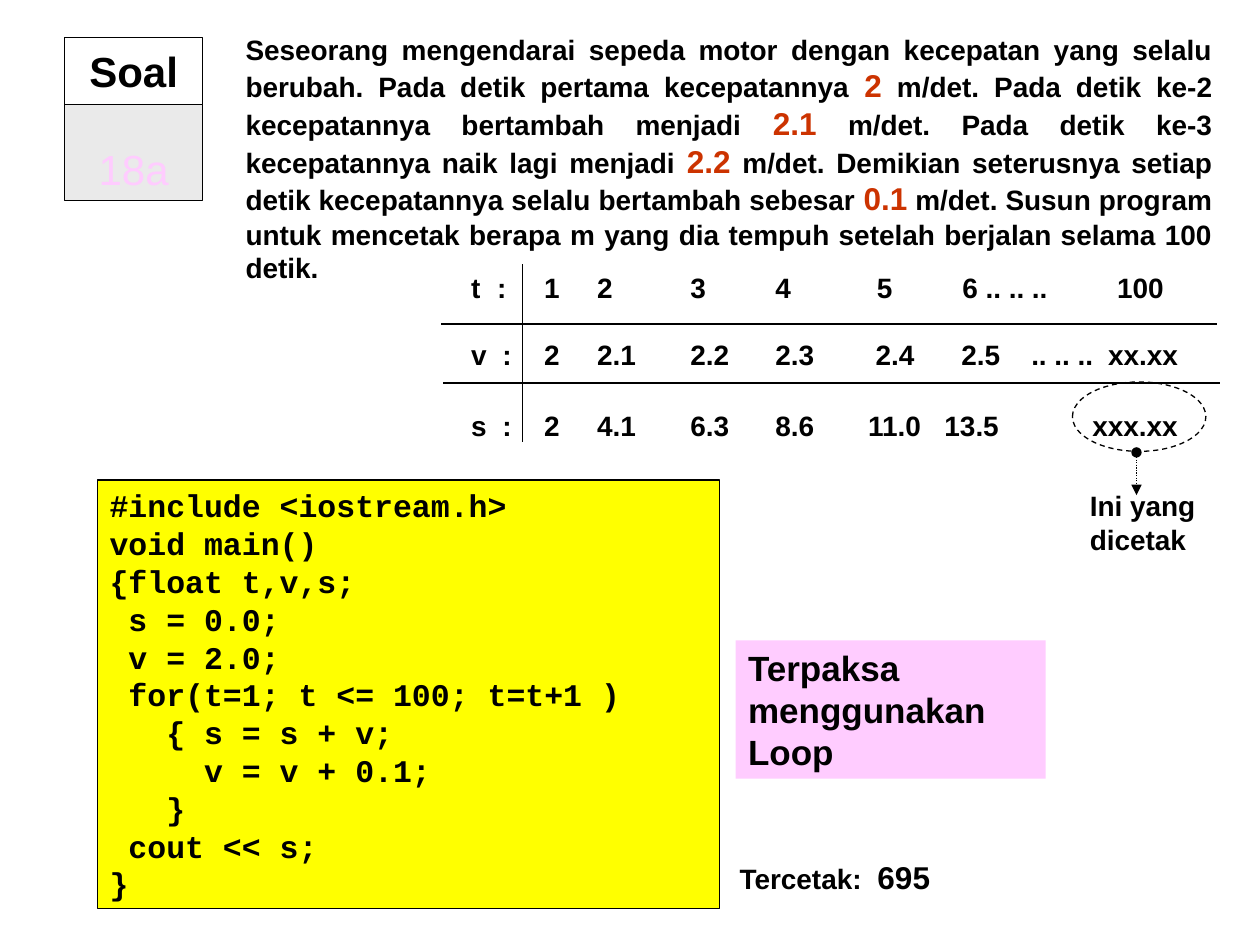
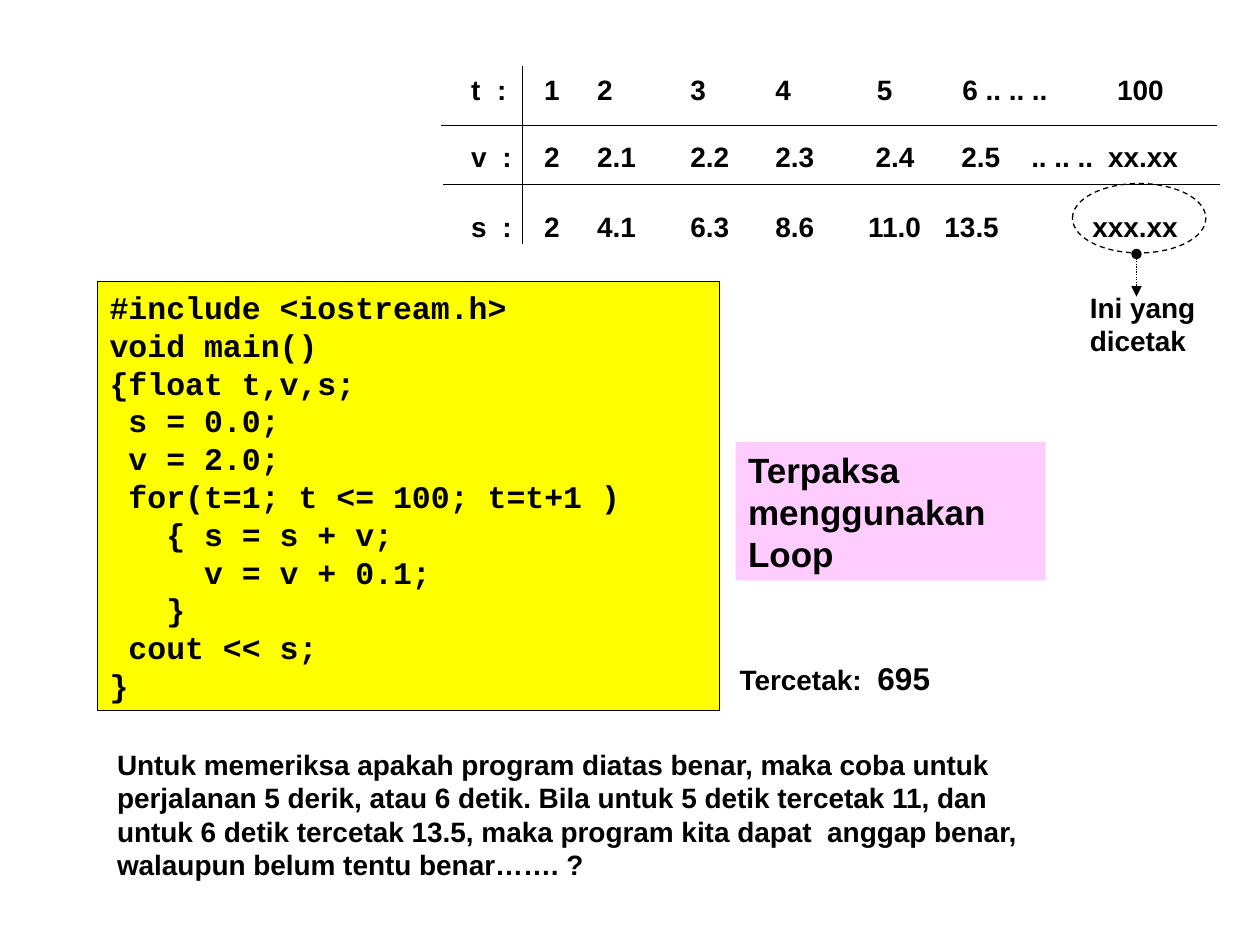
from typing import NamedTuple

from lxml import etree
from pptx import Presentation
from pptx.dml.color import RGBColor
from pptx.enum.dml import MSO_LINE
from pptx.enum.shapes import MSO_CONNECTOR, MSO_SHAPE
from pptx.enum.text import MSO_ANCHOR, PP_ALIGN
from pptx.oxml.ns import qn
from pptx.util import Cm, Pt

RECT, OVAL = MSO_SHAPE.RECTANGLE, MSO_SHAPE.OVAL
STRAIGHT = MSO_CONNECTOR.STRAIGHT
DASH, DOTS = MSO_LINE.DASH, MSO_LINE.ROUND_DOT
LEFT, CENTER, FULL = PP_ALIGN.LEFT, PP_ALIGN.CENTER, PP_ALIGN.JUSTIFY
TOP, MIDDLE, BOTTOM = MSO_ANCHOR.TOP, MSO_ANCHOR.MIDDLE, MSO_ANCHOR.BOTTOM

BLACK, RED, PINK = "000000", "CC3300", "FFCCFF"
YELLOW, GREY = "FFFF00", "EAEAEA"
SANS, MONO = "Arial", "Courier New"
THIN = Pt(0.75)


class Box(NamedTuple):
    """Place in centimetres."""
    left: float
    top: float
    width: float
    height: float


class Row(NamedTuple):
    """One line of the motion grid, its spacing and its own last tab stops."""
    text: str
    space: float
    stops: tuple[float, ...]


class Rule(NamedTuple):
    """Straight line between two points, in centimetres."""
    x1: float
    y1: float
    x2: float
    y2: float


# Grid: stops shared by all rows, then those of each row
COLS = (1.47, 2.54, 4.42, 6.13)
ROWS = (
    Row("t\t:\t1\t2\t3\t4\t5\t6 .. .. ..\t100", 1.3, (0.52, 8.18, 9.9, 13.02)),
    Row("v\t:\t2\t2.1\t2.2\t2.3\t2.4\t2.5\t.. .. ..\txx.xx", 2,
        (0.63, 8.15, 9.88, 11.29, 12.84)),
    Row("s\t:\t2\t4.1\t6.3\t8.6\t11.0\t13.5\txxx.xx", 2.1,
        (0.63, 8, 9.54, 12.52)),
)
RULES = (Rule(8.89, 1.4, 24.54, 1.4), Rule(10.54, 0.2, 10.54, 3.79),
         Rule(8.94, 2.59, 24.59, 2.59))

CODE = """#include <iostream.h>
void main()
{float t,v,s;
 s = 0.0;
 v = 2.0;
 for(t=1; t <= 100; t=t+1 )
   { s = s + v;
     v = v + 0.1;
   }
 cout << s;
}"""

# Bars enclose the larger, accented parts
TASK = (
    "Seseorang mengendarai sepeda motor dengan kecepatan yang selalu berubah. "
    "Pada detik pertama kecepatannya |2| m/det. Pada detik ke-2 kecepatannya "
    "bertambah menjadi |2.1| m/det. Pada detik ke-3 kecepatannya naik lagi "
    "menjadi |2.2| m/det. Demikian seterusnya setiap detik kecepatannya selalu "
    "bertambah sebesar |0.1| m/det. Susun program untuk mencetak berapa m yang "
    "dia tempuh setelah berjalan selama 100 detik."
)
CHECK = (
    "Untuk memeriksa apakah program diatas benar, maka coba untuk perjalanan "
    "5 derik, atau 6 detik. Bila untuk 5 detik tercetak 11, dan untuk 6 detik "
    "tercetak 13.5, maka program kita dapat  anggap benar, walaupun belum "
    "tentu benar……. ?"
)


def paint(form, tone: str) -> None:
    """Give a fill, line or font colour format a solid colour."""
    form.rgb = RGBColor.from_string(tone)


def place(box: Box) -> list:
    return [Cm(value) for value in box]


def set_tabs(para, stops) -> None:
    tabs = etree.SubElement(para._p.get_or_add_pPr(), qn("a:tabLst"))
    for stop in sorted(stops):
        etree.SubElement(tabs, qn("a:tab"), pos=str(Cm(stop)), algn="l")


def write(shape, text: str, *, size=16, font=SANS, tone=BLACK, bold=True,
          align=LEFT, anchor=TOP, wrap=True, accent=BLACK, stops=(),
          spaces=()) -> None:
    """Fill a shape with text; stops and spaces hold one item a paragraph."""
    frame = shape.text_frame
    frame.word_wrap, frame.vertical_anchor = wrap, anchor
    for i, line in enumerate(text.split("\n")):
        para = frame.paragraphs[0] if i == 0 else frame.add_paragraph()
        if stops:
            set_tabs(para, stops[i])
        if spaces:
            para.line_spacing = spaces[i]
        para.alignment = align
        for j, part in enumerate(line.split("|")):
            run = para.add_run()
            run.text = part
            run.font.name, run.font.bold = font, bold
            run.font.size = Pt(size + 2 * (j % 2))
            paint(run.font.color, accent if j % 2 else tone)


def add_text(slide, box: Box, text: str, **style) -> None:
    write(slide.shapes.add_textbox(*place(box)), text, **style)


def add_form(slide, box: Box, kind=RECT, fill="", edge=BLACK, dash=None):
    shape = slide.shapes.add_shape(kind, *place(box))
    shape.shadow.inherit = False
    if fill:
        shape.fill.solid()
        paint(shape.fill.fore_color, fill)
    else:
        shape.fill.background()
    if edge:
        paint(shape.line.color, edge)
        shape.line.width = THIN
        if dash:
            shape.line.dash_style = dash
    else:
        shape.line.fill.background()
    return shape


def add_rule(slide, rule: Rule, dash=None, ends=()) -> None:
    link = slide.shapes.add_connector(STRAIGHT, *[Cm(v) for v in rule])
    paint(link.line.color, BLACK)
    link.line.width = THIN
    if dash:
        link.line.dash_style = dash
    for tag, kind in zip(("a:headEnd", "a:tailEnd"), ends):
        etree.SubElement(link.line._get_or_add_ln(), qn(tag), type=kind)
    etree.SubElement(link._element.spPr, qn("a:effectLst"))


def add_board(slide, top: float) -> None:
    """Grid, program and result, hung from the given height."""
    # Motion grid
    add_text(slide, Box(9.25, top, 15.4, 3.91),
             "\n".join(row.text for row in ROWS),
             stops=[COLS + row.stops for row in ROWS],
             spaces=[row.space for row in ROWS])
    for rule in RULES:
        add_rule(slide, Rule(rule.x1, top + rule.y1, rule.x2, top + rule.y2))

    # Ringed answer and its label
    add_form(slide, Box(21.62, top + 2.57, 2.69, 1.4), OVAL, dash=DASH)
    add_rule(slide, Rule(22.91, top + 3.99, 22.91, top + 4.85), DOTS,
             ("oval", "triangle"))
    add_text(slide, Box(21.72, top + 4.6, 2.64, 1.63), "Ini yang\ndicetak",
             wrap=False)

    # Program, remark and output
    code = add_form(slide, Box(1.96, top + 4.55, 12.55, 8.64), fill=YELLOW)
    write(code, CODE, size=18, font=MONO)
    note = add_form(slide, Box(14.83, top + 7.78, 6.25, 2.79), fill=PINK,
                    edge="")
    write(note, "Terpaksa menggunakan Loop", size=20)
    add_text(slide, Box(14.66, top + 12.04, 4.6, 1.02), "Tercetak:\t|695",
             stops=[(2.78,)])


def main() -> None:
    deck = Presentation()
    deck.slide_width, deck.slide_height = Cm(25.4), Cm(19.05)
    blank = deck.slide_layouts[6]

    # Slide 1: the problem
    slide = deck.slides.add_slide(blank)
    add_text(slide, Box(4.7, 0.53, 19.99, 5.33), TASK, align=FULL, accent=RED)
    head = add_form(slide, Box(1.3, 0.76, 2.79, 1.35))
    write(head, "Soal", size=24, align=CENTER, anchor=MIDDLE, wrap=False)
    badge = add_form(slide, Box(1.3, 2.11, 2.79, 1.93), fill=GREY)
    write(badge, "18a", size=24, tone=PINK, bold=False, align=CENTER,
          anchor=BOTTOM)
    add_board(slide, 5.13)

    # Slide 2: checking the program
    slide = deck.slides.add_slide(blank)
    add_board(slide, 1.13)
    add_text(slide, Box(2.11, 14.94, 18.67, 2.97), CHECK)

    deck.save("out.pptx")


if __name__ == "__main__":
    main()
